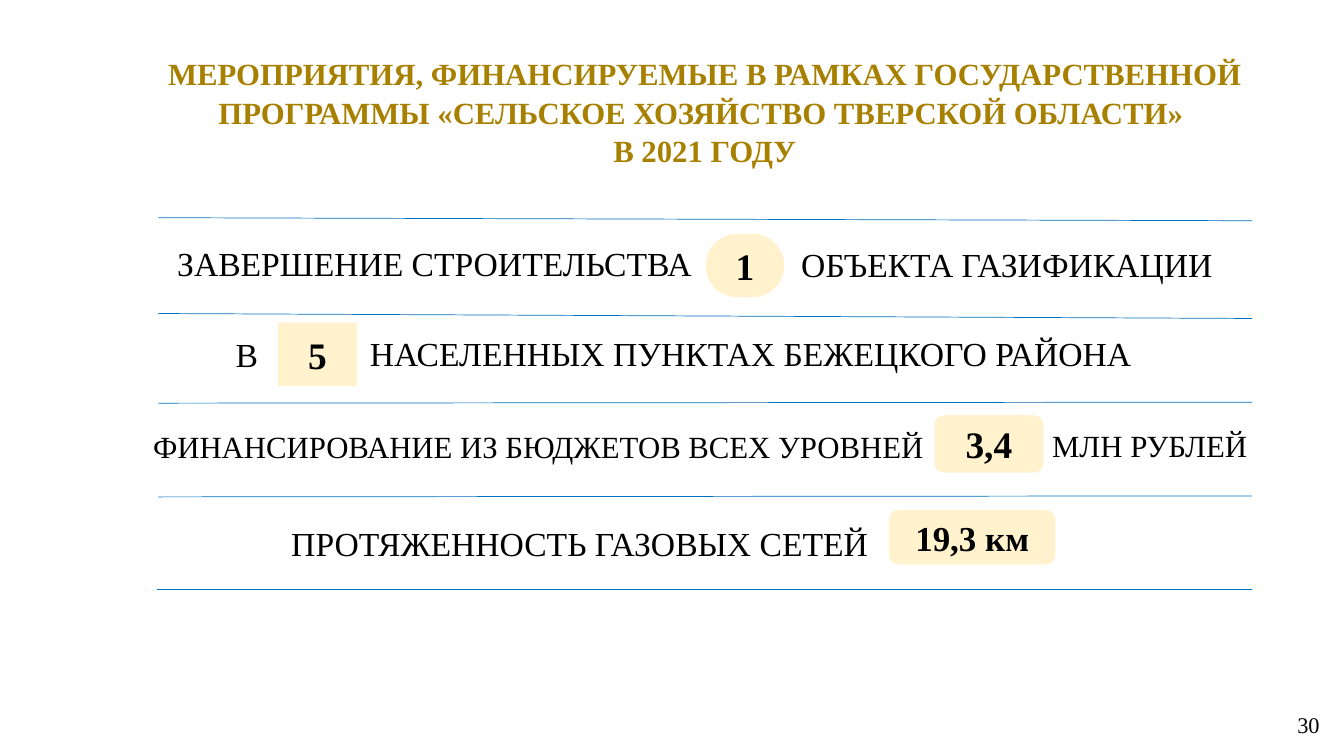
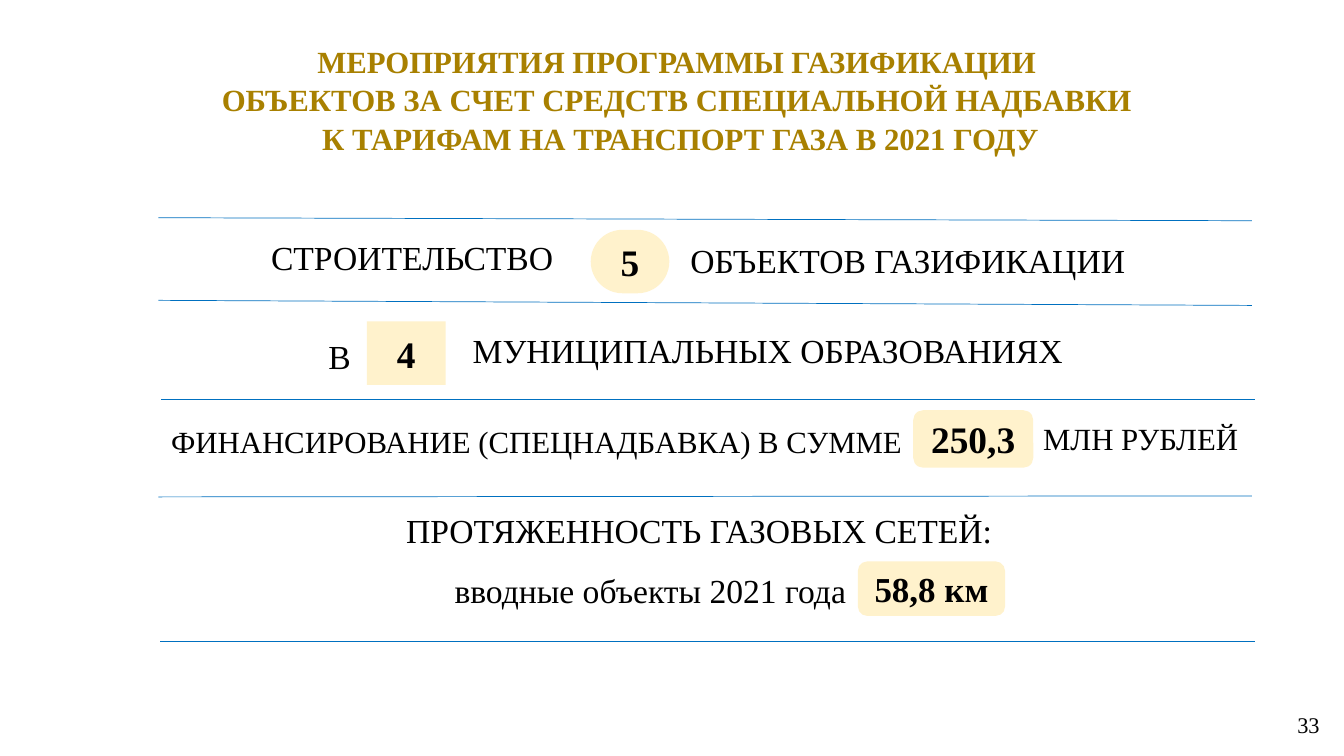
import pptx
import pptx.util
import pptx.dml.color
import pptx.enum.shapes
import pptx.enum.text
import pptx.oxml

RGB = pptx.dml.color.RGBColor
GOLD = RGB(0xA8, 0x80, 0x00)
CREAM = RGB(0xFF, 0xF2, 0xCC)
BLUE = RGB(0x00, 0x70, 0xC0)
BLACK = RGB(0x00, 0x00, 0x00)

WIDE = pptx.util.Inches(13.33)
HIGH = pptx.util.Inches(7.5)
COL = WIDE / 100
ROW = HIGH / 100

ALIGN = pptx.enum.text.PP_ALIGN
ANCHOR = pptx.enum.text.MSO_ANCHOR
FIT = pptx.enum.text.MSO_AUTO_SIZE
KIND = pptx.enum.shapes.MSO_SHAPE.ROUNDED_RECTANGLE
LINE = pptx.enum.shapes.MSO_CONNECTOR.STRAIGHT

FACE = {"name": "Times New Roman", "bold": False}
BOLD = FACE | {"bold": True}
FLOW = {"word_wrap": True, "auto_size": FIT.NONE, "vertical_anchor": ANCHOR.TOP}
MID = FLOW | {"vertical_anchor": ANCHOR.MIDDLE}
PAD = {
    "margin_left": pptx.util.Inches(0.13),
    "margin_right": pptx.util.Inches(0.13),
    "margin_top": pptx.util.Inches(0.07),
    "margin_bottom": pptx.util.Inches(0.07),
}

TALL = {24: 6.67, 22: 6.27}
BADGE = {
    "pill": (8.4, 26.7, 0.5),
    "box": (8.4, 26.7, 0),
    "sum": (7.6, 26.7, 0.17),
    "net": (7.2, 25, 0.17),
}

GAS = {
    "page": "30",
    "head": (10.5, 6.13, 83.85, 16),
    "title": [
        "МЕРОПРИЯТИЯ, ФИНАНСИРУЕМЫЕ В РАМКАХ ГОСУДАРСТВЕННОЙ ПРОГРАММЫ "
        "«СЕЛЬСКОЕ ХОЗЯЙСТВО ТВЕРСКОЙ ОБЛАСТИ» ",
        "В 2021 ГОДУ",
    ],
    "rules": [
        (11.78, 28.8, 93.15, 29.2),
        (11.78, 41.47, 93.15, 42.13),
        (11.78, 53.33, 93.15, 53.2),
        (11.78, 65.73, 93.15, 65.6),
        (11.7, 78, 93.15, 78),
    ],
    "words": [
        ("ЗАВЕРШЕНИЕ СТРОИТЕЛЬСТВА", 24, 12.45, 31.47, 41.03),
        ("ОБЪЕКТА ГАЗИФИКАЦИИ", 24, 58.88, 31.6, 35.63),
        ("В", 24, 16.8, 43.47, 4.13),
        ("НАСЕЛЕННЫХ ПУНКТАХ БЕЖЕЦКОГО РАЙОНА", 24, 26.78, 43.33, 70.88),
        ("ФИНАНСИРОВАНИЕ ИЗ БЮДЖЕТОВ ВСЕХ УРОВНЕЙ", 22, 10.65, 55.87, 61.65),
        ("МЛН РУБЛЕЙ", 22, 77.55, 55.73, 17.7),
        ("ПРОТЯЖЕННОСТЬ ГАЗОВЫХ СЕТЕЙ", 24, 20.93, 68.53, 45.15),
    ],
    "badges": [
        ("1", "pill", 52.5, 30.93, 5.85),
        ("5", "box", 20.7, 42.67, 5.85),
        ("3,4", "sum", 69.53, 54.93, 8.1),
        ("19,3 км", "net", 66.15, 67.47, 12.38),
    ],
}

TARIFF = {
    "page": "33",
    "head": (6.23, 4.53, 88.8, 17.07),
    "title": [
        "МЕРОПРИЯТИЯ ПРОГРАММЫ ГАЗИФИКАЦИИ ",
        "ОБЪЕКТОВ ЗА СЧЕТ СРЕДСТВ СПЕЦИАЛЬНОЙ НАДБАВКИ ",
        "К ТАРИФАМ НА ТРАНСПОРТ ГАЗА В 2021 ГОДУ",
    ],
    "rules": [
        (11.78, 28.8, 93.15, 29.2),
        (11.78, 39.73, 93.15, 40.4),
        (12, 52.8, 93.38, 52.8),
        (11.78, 65.73, 93.15, 65.6),
        (11.93, 84.8, 93.38, 84.8),
    ],
    "words": [
        ("СТРОИТЕЛЬСТВО", 24, 19.43, 30.67, 23.63),
        ("ОБЪЕКТОВ ГАЗИФИКАЦИИ", 24, 50.63, 31.07, 35.63),
        ("В", 24, 23.7, 43.73, 4.13),
        ("МУНИЦИПАЛЬНЫХ ОБРАЗОВАНИЯХ", 24, 34.43, 42.93, 47.4),
        ("ФИНАНСИРОВАНИЕ (СПЕЦНАДБАВКА) В СУММЕ", 22, 12, 55.33, 61.13),
        ("МЛН РУБЛЕЙ", 22, 76.88, 54.93, 18.75),
        ("ПРОТЯЖЕННОСТЬ ГАЗОВЫХ СЕТЕЙ:", 24, 29.48, 66.8, 47),
        ("вводные объекты 2021 года", 24, 33.08, 74.67, 34.5),
    ],
    "badges": [
        ("5", "pill", 43.95, 30.4, 5.85),
        ("4", "box", 27.3, 42.53, 5.85),
        ("250,3", "sum", 67.95, 54.27, 8.93),
        ("58,8 км", "net", 63.83, 74.27, 10.95),
    ],
}


def apply(item, form):
    for key, value in form.items():
        setattr(item, key, value)


def place(x, y, w, h):
    return round(x * COL), round(y * ROW), round(w * COL), round(h * ROW)


def write(shape, lines, size, flow, face=FACE, align=ALIGN.LEFT, color=BLACK):
    frame = shape.text_frame
    apply(frame, flow)
    frame.text = "\n".join(lines)
    for para in frame.paragraphs:
        para.alignment = align
        font = para.runs[0].font
        apply(font, face | {"size": pptx.util.Pt(size)})
        font.color.rgb = color


def head(slide, lines, area):
    title = slide.shapes.title
    apply(title, dict(zip(("left", "top", "width", "height"), place(*area))))
    write(title, lines, 22, FLOW | PAD, BOLD, ALIGN.CENTER, GOLD)
    for para in title.text_frame.paragraphs:
        para.line_spacing = 1.04


def rule(slide, x, y, end, low):
    line = slide.shapes.add_connector(LINE, *place(x, y, end, low))
    apply(line.line, {"width": pptx.util.Pt(0.5)})
    line.line.color.rgb = BLUE
    tag = pptx.oxml.ns.qn("a:effectLst")
    line._element.spPr.append(line._element.makeelement(tag, {}))


def words(slide, text, size, x, y, w):
    box = slide.shapes.add_textbox(*place(x, y, w, TALL[size]))
    write(box, [text], size, FLOW)


def badge(slide, text, kind, x, y, w):
    tall, size, curve = BADGE[kind]
    shape = slide.shapes.add_shape(KIND, *place(x, y, w, tall))
    shape.adjustments[0] = curve
    shape.shadow.inherit = False
    shape.fill.solid()
    shape.fill.fore_color.rgb = CREAM
    shape.line.fill.background()
    flow = MID | {"margin_left": 0, "margin_right": 0}
    write(shape, [text], size, flow, BOLD, ALIGN.CENTER)


def page(slide, text):
    box = slide.shapes.add_textbox(*place(94.43, 93.2, 4.5, 5.33))
    write(box, [text], 16, MID, align=ALIGN.RIGHT)


def build(deck, data):
    slide = deck.slides.add_slide(deck.slide_layouts[5])
    head(slide, data["title"], data["head"])
    for key, draw in (("rules", rule), ("words", words), ("badges", badge)):
        for part in data[key]:
            draw(slide, *part)
    page(slide, data["page"])


def main():
    deck = pptx.Presentation()
    apply(deck, {"slide_width": WIDE, "slide_height": HIGH})
    for data in (GAS, TARIFF):
        build(deck, data)
    deck.save("out.pptx")


if __name__ == "__main__":
    main()
